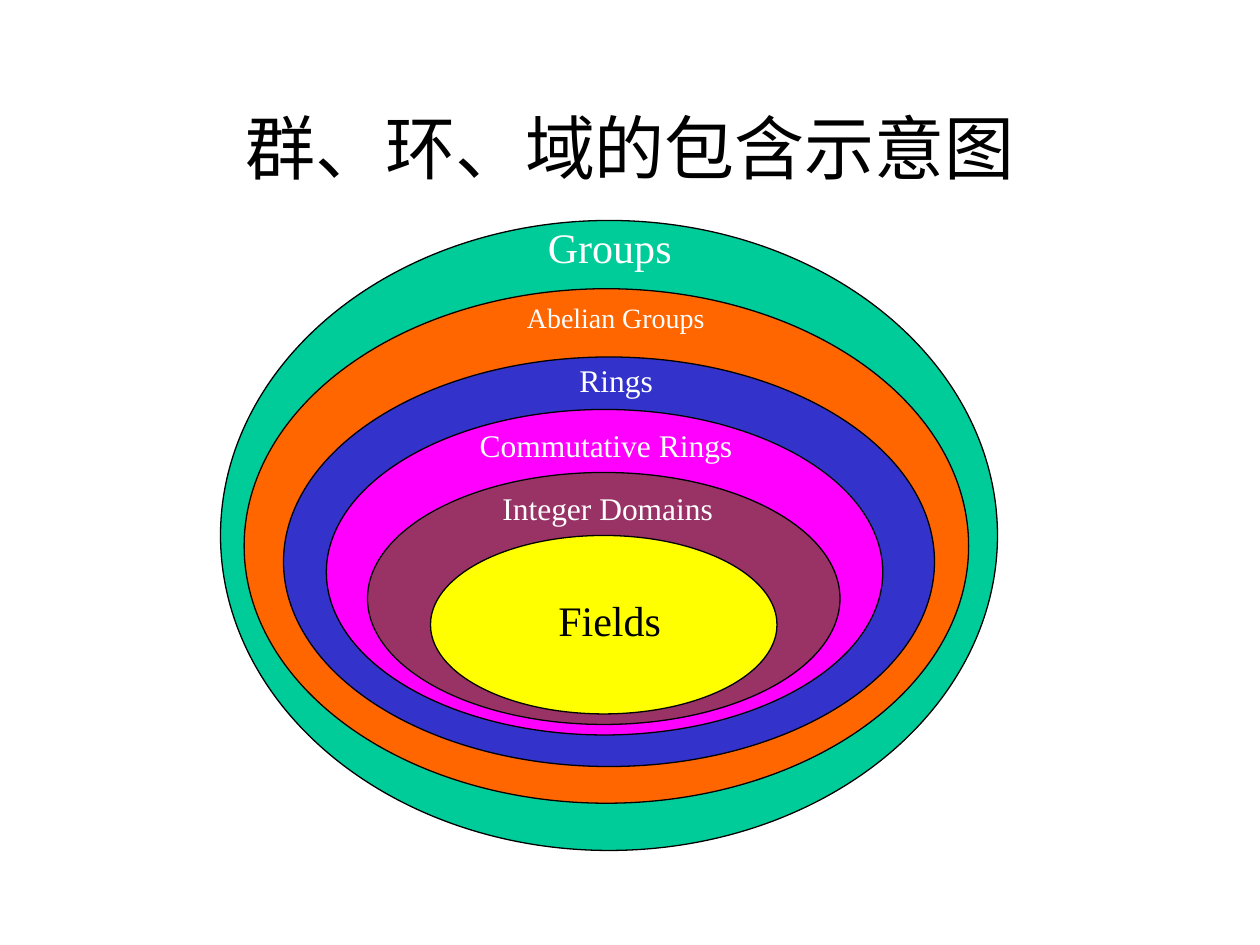
from pptx import Presentation
from pptx.dml.color import RGBColor
from pptx.enum.shapes import MSO_SHAPE as Shape
from pptx.enum.text import MSO_ANCHOR as Anchor, PP_ALIGN as Align
from pptx.util import Pt

COLORS = {
    "black": "000000", "white": "FFFFFF", "green": "00CC99", "orange": "FF6600",
    "blue": "3333CC", "magenta": "FF00FF", "plum": "993366", "yellow": "FFFF00",
}

# Outermost set first: ellipse box and fill, then label, its box, size and color.
NESTED_SETS = [
    ((126, 126, 444, 360), "green", "Groups", (306, 123, 96, 36), 24, "white"),
    ((139.5, 165, 414, 294), "orange", "Abelian Groups", (294, 168, 120, 26.5), 16, "white"),
    ((162, 204, 372, 234), "blue", "Rings", (324, 202.5, 78, 29), 18, "white"),
    ((186.5, 234, 318, 186), "magenta", "Commutative Rings", (267, 240, 168, 29), 18, "white"),
    ((210, 270, 270, 144), "plum", "Integer Domains", (280, 276, 138, 29), 18, "white"),
    ((246, 306, 198, 102), "yellow", "Fields", (312, 336, 78, 36), 24, "black"),
]


def color(name):
    return RGBColor.from_string(COLORS[name])


def write_text(frame, text, *, size, font_color, font_name, align, anchor):
    frame.word_wrap = True
    frame.vertical_anchor = anchor
    paragraph = frame.paragraphs[0]
    paragraph.alignment = align
    run = paragraph.add_run()
    run.text = text
    run.font.name = font_name
    run.font.size = Pt(size)
    run.font.color.rgb = color(font_color)


class SlideBuilder:
    """Holds the shared style and the slide being drawn."""

    font_name = "Times New Roman"
    line_width = 0.75

    def __init__(self, slide):
        self.slide = slide

    def text(self, text, box, size, font_color, align=Align.LEFT, anchor=Anchor.TOP):
        shape = self.slide.shapes.add_textbox(*map(Pt, box))
        write_text(shape.text_frame, text, size=size, font_color=font_color,
                   font_name=self.font_name, align=align, anchor=anchor)

    def ellipse(self, box, fill):
        shape = self.slide.shapes.add_shape(Shape.OVAL, *map(Pt, box))
        shape.shadow.inherit = False
        shape.fill.solid()
        shape.fill.fore_color.rgb = color(fill)
        shape.line.color.rgb = color("black")
        shape.line.width = Pt(self.line_width)


def main():
    presentation = Presentation()
    presentation.slide_width, presentation.slide_height = Pt(720), Pt(540)
    builder = SlideBuilder(presentation.slides.add_slide(presentation.slide_layouts[6]))

    builder.text("群、环、域的包含示意图", (54, 48, 612, 72), 40, "black",
                 align=Align.CENTER, anchor=Anchor.MIDDLE)
    for ellipse_box, fill, label, label_box, size, font_color in NESTED_SETS:
        builder.ellipse(ellipse_box, fill)
        builder.text(label, label_box, size, font_color)

    presentation.save("out.pptx")


if __name__ == "__main__":
    main()
